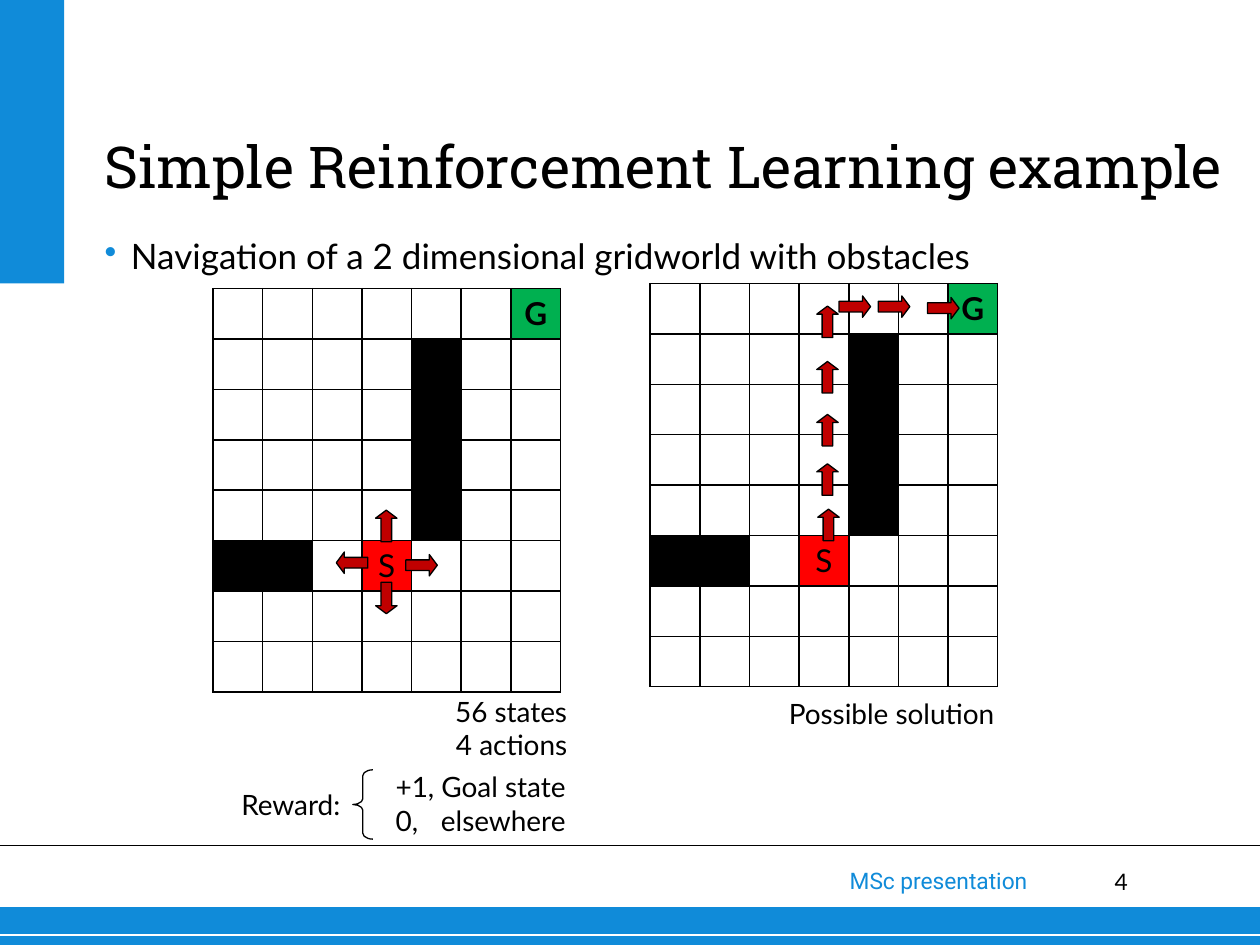
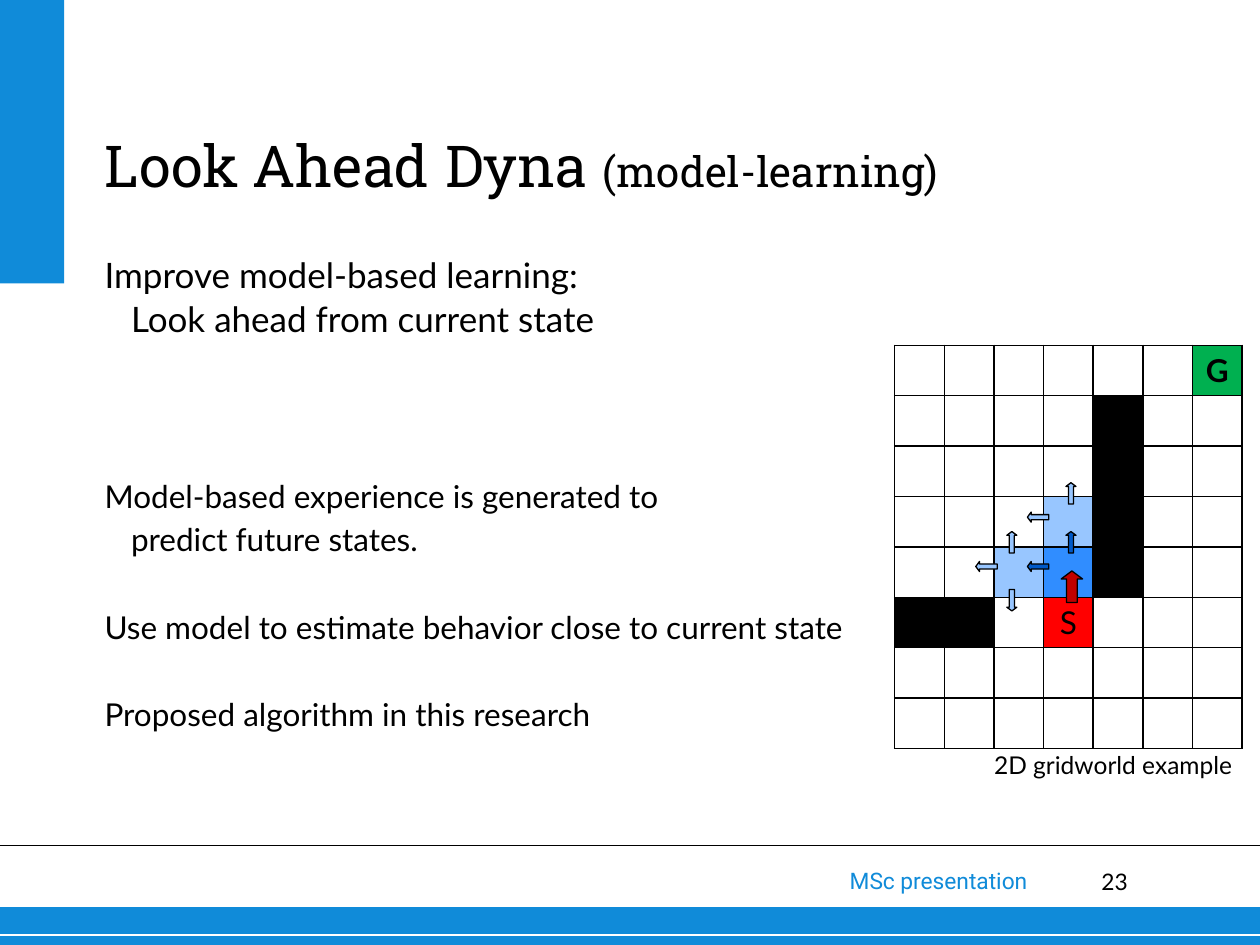
"""Build two slides that explain reinforcement learning in a gridworld."""
from lxml import etree
from pptx import Presentation, util as u
from pptx.dml.color import RGBColor
from pptx.enum import shapes, text
from pptx.oxml.ns import qn

WIDTH, HEIGHT = 10, 7.5
THEME = {
    "blue": "108BD9", "black": "000000", "white": "FFFFFF",
    "goal": "00B050", "start": "FF0000", "move": "C00000",
    "near": "308DFF", "far": "98C6FF", "ahead": "0059C8",
    "body": "Lato", "heading": "Roboto Slab", "footer": "Roboto",
    "title": 33, "title gap": 36, "subtitle": 24, "lead": 20,
    "text": 18, "label": 16, "caption": 14, "small": 13,
}

COLUMN, ROW = 2.76 / 7, 0.4
BIG, SMALL = (0.17, 0.25), (0.08, 0.17)
TURN = {"up": 0, "right": 90, "down": 180, "left": 270}
LEGEND = {"#": "black", "G": "goal", "S": "start", "n": "near", "f": "far"}
INDENT, LINE = 0.21, 25

WORLD = [
    "......G",
    "....#..",
    "....#..",
    "....#..",
    "....#..",
    "##.S...",
    ".......",
    ".......",
]
LOOK_AHEAD = WORLD[:3] + ["...f#..", "..fn#.."] + WORLD[5:]

ACTIONS = [(3.49, 4.71, "up"), (3.49, 6.14, "down"), (2.8, 5.44, "left"), (4.2, 5.49, "right")]
SOLUTION = [(3.59, 4.79, "up")] + [(3.57, row, "up") for row in (3.89, 2.91, 1.86, 0.76)] + [
    (4.12, 0.46, "right"), (4.91, 0.46, "right"), (5.9, 0.49, "right")]
FIRST_MOVE = [(3.57, 4.79, "up")]
NEXT_MOVES = [(3.55, 3.91, "up"), (2.89, 4.39, "left")]
LATER_MOVES = [(1.85, 4.39, "left"), (3.55, 2.94, "up"), (2.36, 3.91, "up"),
               (2.89, 3.41, "left"), (2.36, 5.06, "down")]

SLIDES = [
    {
        "number": "4",
        "title": [("Simple Reinforcement Learning example", "title")],
        "title width": 9.05,
        "worlds": [
            ((1.69, 2.29), WORLD, [("move", BIG, ACTIONS)]),
            ((5.16, 2.25), WORLD, [("move", BIG, SOLUTION)]),
        ],
        "labels": [
            ((5.24, 5.48, 2.75, 0.35), ["Possible solution"], "label"),
            ((1.85, 5.46, 2.75, 0.64), ["56 states", "4 actions"], "label"),
            ((1.38, 6.2, 1.42, 0.37), ["Reward:"], "label"),
        ],
        "bullet": "Navigation of a 2 dimensional gridworld with obstacles",
        "rewards": ["+1, Goal state", "0,\telsewhere"],
    },
    {
        "number": "23",
        "title": [("Look Ahead", "title"), (" ", "title gap"), ("Dyna", "title"),
                  (" ", "title gap"), ("(model-learning)", "subtitle")],
        "title width": 8.5,
        "worlds": [
            ((7.1, 2.74), LOOK_AHEAD, [("move", BIG, FIRST_MOVE), ("ahead", SMALL, NEXT_MOVES),
                                       ("far", SMALL, LATER_MOVES)]),
        ],
        "labels": [((7.13, 5.9, 2.75, 0.32), ["2D gridworld example"], "caption")],
        "points": [
            ("Improve model-based learning:", "lead", 0, 0),
            ("Look ahead from current state", "lead", 1, 0),
            ("Model-based experience is generated to", "text", 0, 3),
            ("predict future states.", "text", 1, 0),
            ("Use model to estimate behavior close to current state", "text", 0, 1),
            ("Proposed algorithm in this research", "text", 0, 1),
        ],
    },
]


def rgb(name):
    return RGBColor.from_string(THEME[name])


def inches(*lengths):
    return [u.Inches(length) for length in lengths]


def assign(target, values):
    for key, value in values.items():
        setattr(target, key, value)


def write(paragraph, words, size, face="body", color="black", bold=False):
    run = paragraph.add_run()
    run.text = words
    assign(run.font, {"size": u.Pt(THEME[size]), "name": THEME[face], "bold": bold})
    run.font.color.rgb = rgb(color)


def frame_at(slide, box, inset=True, anchor=text.MSO_ANCHOR.TOP):
    frame = slide.shapes.add_textbox(*inches(*box)).text_frame
    assign(frame, {"word_wrap": True, "vertical_anchor": anchor})
    if not inset:
        assign(frame, {"margin_" + side: 0 for side in ("left", "right", "top", "bottom")})
    return frame


def paragraphs(frame, count):
    return [frame.paragraphs[0]] + [frame.add_paragraph() for _ in range(count - 1)]


def add_lines(slide, box, lines, size, face="body", color="black", inset=True):
    frame = frame_at(slide, box, inset)
    for paragraph, words in zip(paragraphs(frame, len(lines)), lines):
        paragraph.alignment = text.PP_ALIGN.RIGHT
        write(paragraph, words, size, face, color)


def add_preset(slide, preset, box, fill=None, outline=None):
    shape = slide.shapes.add_shape(preset, *inches(*box))
    shape.shadow.inherit = False
    for part, color in ((shape.fill, fill), (shape.line.fill, outline)):
        if color:
            part.solid()
            part.fore_color.rgb = rgb(color)
        else:
            part.background()
    if outline:
        shape.line.width = u.Pt(0.75)
    return shape


def add_rule(slide, y, color, weight):
    rule = slide.shapes.add_connector(shapes.MSO_CONNECTOR.STRAIGHT, *inches(0, y, WIDTH, y))
    rule.line.color.rgb = rgb(color)
    rule.line.width = u.Pt(weight)
    etree.SubElement(rule._element.spPr, qn("a:effectLst"))


def add_frame(slide, number):
    rectangle = shapes.MSO_SHAPE.RECTANGLE
    add_preset(slide, rectangle, (0, HEIGHT * 0.96, WIDTH, HEIGHT * 0.04), "blue")
    add_preset(slide, rectangle, (0, 0, 0.51, HEIGHT * 0.3), "blue")
    add_rule(slide, 7.42, "white", 0.75)
    add_rule(slide, 6.71, "black", 1)
    add_lines(slide, (3.42, 6.83, 4.83, 0.32), ["MSc presentation"], "small", "footer", "blue")
    add_lines(slide, (8.36, 6.89, 0.59, 0.28), [number], "small", inset=False)


def add_title(slide, runs, width):
    frame = frame_at(slide, (0.83, 0.44, width, 1.15), False, text.MSO_ANCHOR.BOTTOM)
    for words, size in runs:
        write(frame.paragraphs[0], words, size, "heading")


def border(cell):
    for side in "LRTB":
        edge = etree.SubElement(cell._tc.get_or_add_tcPr(), qn("a:ln" + side), w=str(u.Pt(1)))
        fill = etree.SubElement(edge, qn("a:solidFill"))
        etree.SubElement(fill, qn("a:srgbClr"), val=THEME["black"])


def add_world(slide, corner, rows, moves):
    left, top = corner
    size = (len(rows[0]) * COLUMN, len(rows) * ROW)
    table = slide.shapes.add_table(len(rows), len(rows[0]), *inches(left, top, *size)).table
    assign(table, {"first_row": False, "horz_banding": False})
    for column in table.columns:
        column.width = u.Inches(COLUMN)
    for row in table.rows:
        row.height = u.Inches(ROW)
    for cell, mark in zip(table.iter_cells(), "".join(rows)):
        assign(cell, {"margin_left": 0, "margin_right": 0, "margin_top": 0, "margin_bottom": 0,
                      "vertical_anchor": text.MSO_ANCHOR.MIDDLE})
        border(cell)
        if mark in LEGEND:
            cell.fill.solid()
            cell.fill.fore_color.rgb = rgb(LEGEND[mark])
        else:
            cell.fill.background()
        if mark in "GS":
            paragraph = cell.text_frame.paragraphs[0]
            paragraph.alignment = text.PP_ALIGN.CENTER
            write(paragraph, mark, "text", bold=mark == "G")
    for color, (width, height), steps in moves:
        for column, row, way in steps:
            box = (left + column * COLUMN - width / 2, top + row * ROW - height / 2, width, height)
            arrow = add_preset(slide, shapes.MSO_SHAPE.UP_ARROW, box, color, "black")
            arrow.rotation = TURN[way]
            arrow.adjustments[0], arrow.adjustments[1] = 0.5, 0.375


def add_bullet(slide, words):
    paragraph = frame_at(slide, (0.83, 1.9, 8.33, 0.43), False).paragraphs[0]
    paragraph.line_spacing = 0.91
    properties = paragraph._p.get_or_add_pPr()
    properties.set("marL", str(u.Inches(INDENT)))
    properties.set("indent", str(-u.Inches(INDENT)))
    color = etree.SubElement(properties, qn("a:buClr"))
    etree.SubElement(color, qn("a:srgbClr"), val=THEME["blue"])
    etree.SubElement(properties, qn("a:buChar"), char="•")
    write(paragraph, words, "lead")


def add_rewards(slide, rewards):
    brace = add_preset(slide, shapes.MSO_SHAPE.LEFT_BRACE, (2.8, 6.11, 0.16, 0.55), outline="black")
    brace.adjustments[0], brace.adjustments[1] = 0.29, 0.5
    frame = frame_at(slide, (3.14, 6.11, 1.5, 0.54), False)
    for paragraph, words in zip(paragraphs(frame, len(rewards)), rewards):
        stops = etree.SubElement(paragraph._p.get_or_add_pPr(), qn("a:tabLst"))
        etree.SubElement(stops, qn("a:tab"), pos=str(u.Inches(0.36)), algn="l")
        write(paragraph, words, "label")


def add_points(slide, points):
    frame = frame_at(slide, (0.83, 2, 8.88, 4.27), False)
    for paragraph, (words, size, level, gap) in zip(paragraphs(frame, len(points)), points):
        assign(paragraph, {"line_spacing": u.Pt(LINE), "space_before": u.Pt(gap * LINE)})
        paragraph._p.get_or_add_pPr().set("marL", str(u.Inches(level * INDENT)))
        write(paragraph, words, size)


def main():
    deck = Presentation()
    assign(deck, {"slide_width": u.Inches(WIDTH), "slide_height": u.Inches(HEIGHT)})
    extras = {"bullet": add_bullet, "rewards": add_rewards, "points": add_points}
    for content in SLIDES:
        slide = deck.slides.add_slide(deck.slide_layouts[6])
        add_frame(slide, content["number"])
        add_title(slide, content["title"], content["title width"])
        for world in content["worlds"]:
            add_world(slide, *world)
        for label in content["labels"]:
            add_lines(slide, *label)
        for part, add_part in extras.items():
            if part in content:
                add_part(slide, content[part])
    deck.save("out.pptx")


if __name__ == "__main__":
    main()
